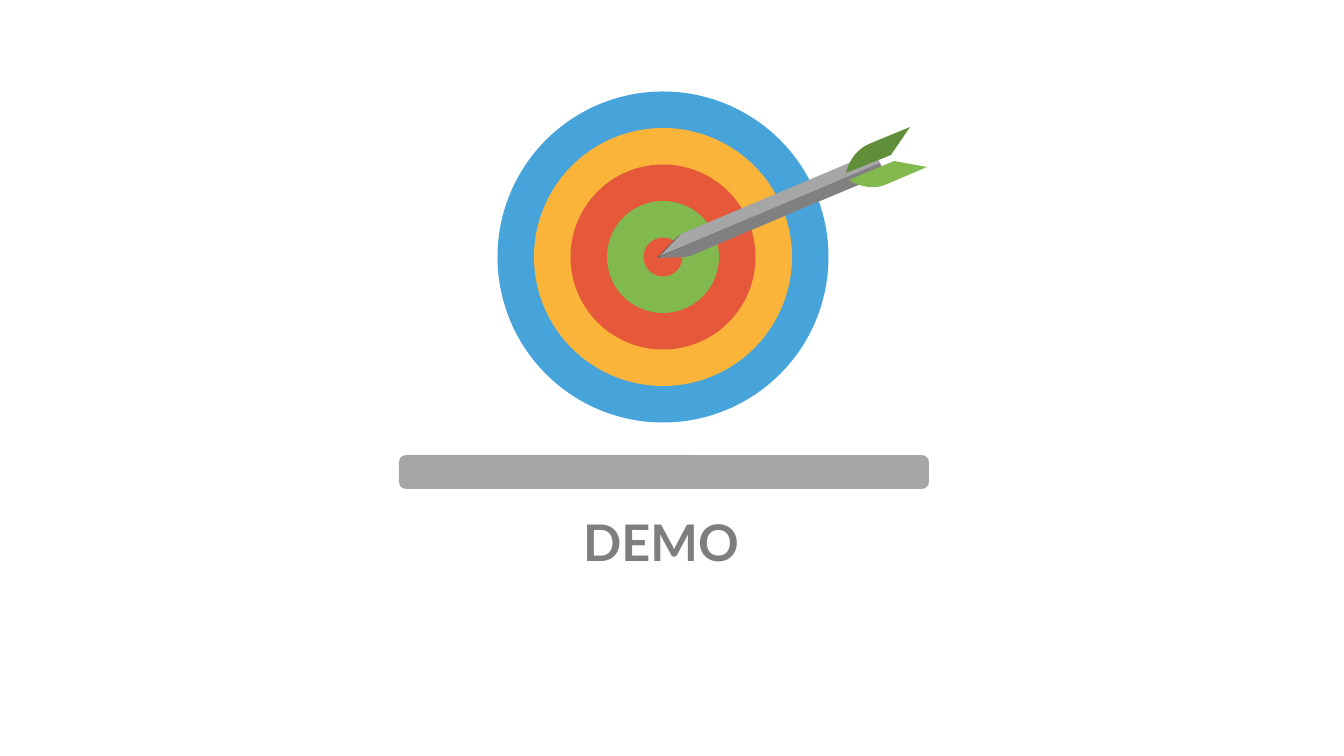
"""Build the demo slide: a target with an arrow above a bar and a title."""
from dataclasses import dataclass

from pptx import Presentation
from pptx.dml.color import RGBColor
from pptx.enum.shapes import MSO_SHAPE
from pptx.enum.text import MSO_ANCHOR, MSO_AUTO_SIZE, PP_ALIGN
from pptx.util import Pt

OVAL, ROUNDED = MSO_SHAPE.OVAL, MSO_SHAPE.ROUNDED_RECTANGLE
TOP, CENTER, FIXED = MSO_ANCHOR.TOP, PP_ALIGN.CENTER, MSO_AUTO_SIZE.NONE
EMU_PER_PIXEL = 914400 / 50.4
TITLE_ONLY = 5
CURVE_STEPS = 16

Point = tuple[float, float]


@dataclass(frozen=True)
class Theme:
    """Colours and type of the slide."""
    blue: str = "46A4DB"
    yellow: str = "F9B439"
    red: str = "E5583A"
    green: str = "81B94F"
    dark_green: str = "618E38"
    silver: str = "A6A6A6"
    steel: str = "808080"
    shade: str = "515D5D"
    shade_edge: str = "828286"
    title: str = "7E7E7E"
    title_font: str = "Lato"
    title_size: int = 72


@dataclass(frozen=True)
class Facet:
    """A straight-sided piece of the arrow."""
    color: str
    points: tuple[Point, ...]


@dataclass(frozen=True)
class Feather:
    """A fletching whose front edge is a cubic curve."""
    color: str
    curve: tuple[Point, Point, Point, Point]
    tail: tuple[Point, ...]


THEME = Theme()
TARGET_CENTER = (663, 257)
OUTER_DIAMETER, RING_STEP = 331, 73
RINGS = (THEME.blue, THEME.yellow, THEME.red, THEME.green, THEME.red)
SHAFT = (
    Facet(THEME.shade, ((678, 236), (873, 154), (877, 164), (657, 258))),
    Facet(THEME.shade_edge, ((687, 257), (882, 175), (877, 164), (657, 258))),
    Facet(THEME.silver, ((681, 234), (875, 152), (880, 163), (660, 256))),
    Facet(THEME.steel, ((690, 256), (885, 173), (880, 163), (660, 257))),
)
FEATHERS = (
    Feather(THEME.dark_green, ((846, 173), (846, 173), (850, 152), (869, 144)),
            ((910, 127), (891, 155))),
    Feather(THEME.green, ((849, 180), (849, 180), (868, 193), (887, 184)),
            ((927, 167), (894, 161))),
)


def px(length: float) -> int:
    """Turn pixels into EMU."""
    return round(length * EMU_PER_PIXEL)


def paint(shape, color: str) -> None:
    """Give a shape a flat fill without line or shadow."""
    shape.fill.solid()
    shape.fill.fore_color.rgb = RGBColor.from_string(color)
    shape.line.fill.background()
    shape.shadow.inherit = False


def draw_preset(shapes, kind, box: tuple[float, ...], color: str):
    """Draw a flat preset shape."""
    shape = shapes.add_shape(kind, *map(px, box))
    paint(shape, color)
    return shape


def draw_facet(shapes, facet: Facet) -> None:
    """Draw a closed flat polygon."""
    start, *rest = [(px(x), px(y)) for x, y in facet.points]
    outline = shapes.build_freeform(*start)
    outline.add_line_segments(rest, close=True)
    paint(outline.convert_to_shape(), facet.color)


def curve_point(curve: tuple[Point, ...], t: float) -> Point:
    """Return the point of a cubic curve at t."""
    weights = ((1 - t) ** 3, 3 * t * (1 - t) ** 2, 3 * t * t * (1 - t), t ** 3)
    x, y = (sum(w * p[axis] for w, p in zip(weights, curve)) for axis in (0, 1))
    return x, y


def draw_feather(shapes, feather: Feather) -> None:
    """Draw a feather with its curved edge."""
    edge = tuple(curve_point(feather.curve, step / CURVE_STEPS)
                 for step in range(CURVE_STEPS + 1))
    draw_facet(shapes, Facet(feather.color, edge + feather.tail))


def draw_target(shapes) -> None:
    """Draw the concentric rings from the outside in."""
    x, y = TARGET_CENTER
    for index, color in enumerate(RINGS):
        size = OUTER_DIAMETER - index * RING_STEP
        draw_preset(shapes, OVAL, (x - size / 2, y - size / 2, size, size), color)


def write_title(title, text: str) -> None:
    """Place and format the title."""
    title.left, title.top, title.width, title.height = map(px, (285, 509, 752, 92))
    frame = title.text_frame
    frame.text = text
    paragraph = frame.paragraphs[0]
    formats = {
        frame: {"auto_size": FIXED, "vertical_anchor": TOP, "word_wrap": True},
        paragraph: {"alignment": CENTER},
        paragraph.runs[0].font: {"name": THEME.title_font, "bold": True,
                                 "size": Pt(THEME.title_size)},
    }
    for part, values in formats.items():
        for name, value in values.items():
            setattr(part, name, value)
    paragraph.runs[0].font.color.rgb = RGBColor.from_string(THEME.title)


def main() -> None:
    """Build and save the slide."""
    deck = Presentation()
    deck.slide_width, deck.slide_height = px(1344), px(756)
    slide = deck.slides.add_slide(deck.slide_layouts[TITLE_ONLY])
    shapes = slide.shapes
    bar = draw_preset(shapes, ROUNDED, (399, 455, 530, 34), THEME.silver)
    bar.adjustments[0] = 0.21
    draw_target(shapes)
    for facet in SHAFT:
        draw_facet(shapes, facet)
    for feather in FEATHERS:
        draw_feather(shapes, feather)
    write_title(shapes.title, "DEMO")
    deck.save("out.pptx")


main()
